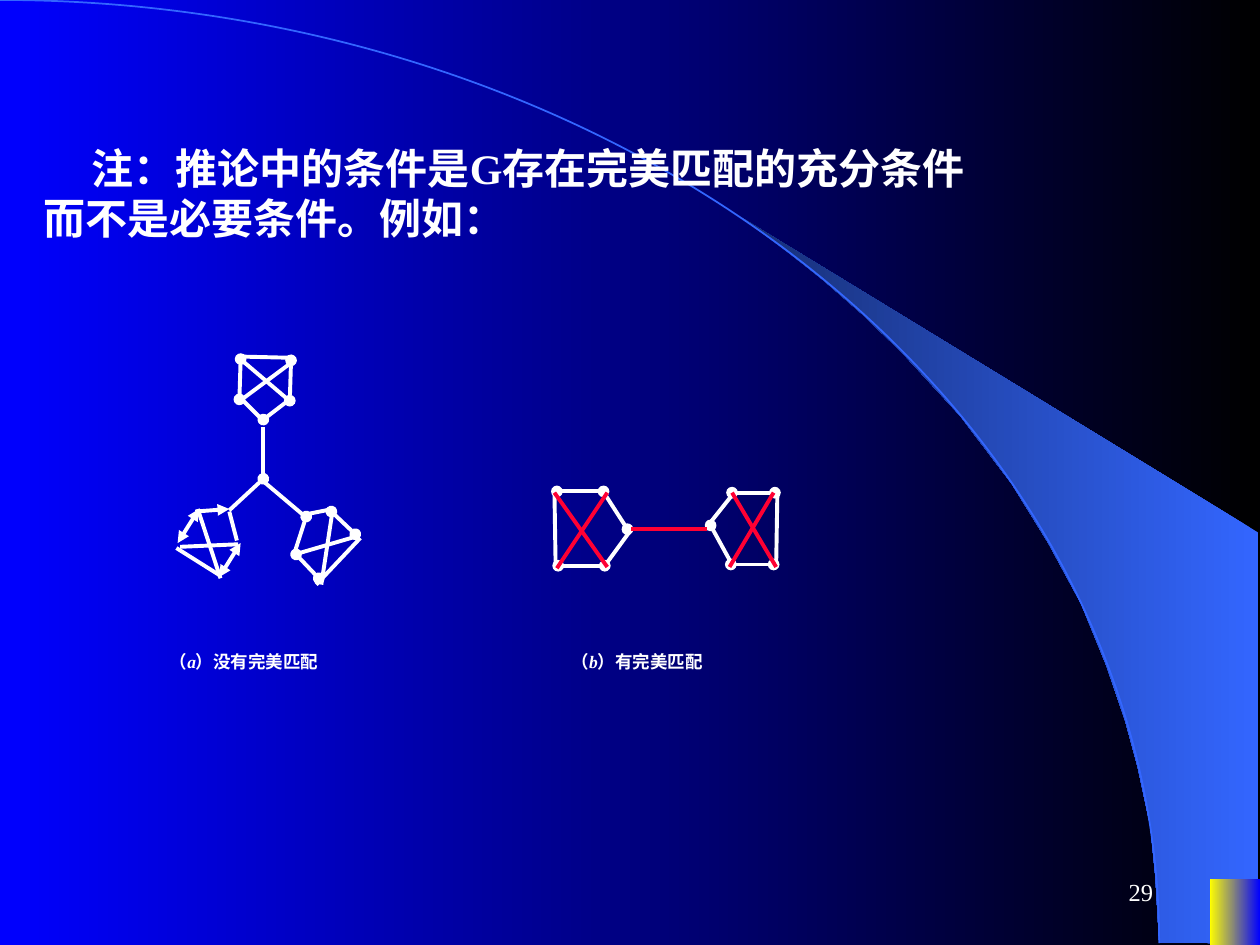
from pptx import Presentation
from pptx.dml.color import RGBColor
from pptx.enum.shapes import MSO_CONNECTOR as Link, MSO_SHAPE as Preset
from pptx.enum.text import MSO_ANCHOR as Anchor, MSO_AUTO_SIZE as AutoSize, PP_ALIGN as Align
from pptx.oxml.ns import qn
from pptx.util import Inches, Pt
from lxml.etree import SubElement

BLACK = RGBColor(0x00, 0x00, 0x00)
BLUE = RGBColor(0x00, 0x00, 0xFF)
SKY = RGBColor(0x33, 0x66, 0xFF)
NAVY = RGBColor(0x17, 0x2F, 0x75)
YELLOW = RGBColor(0xFF, 0xFF, 0x00)
WHITE = RGBColor(0xFF, 0xFF, 0xFF)
RED = RGBColor(0xFF, 0x00, 0x33)

WEDGE = [
    (9.2, 7.48), (9.99, 7.49), (9.99, 4.23), (5.89, 1.73), (6.24, 1.99), (6.53, 2.22),
    (6.85, 2.5), (7.16, 2.8), (7.62, 3.3), (8.03, 3.84), (8.32, 4.31), (8.58, 4.79),
    (8.78, 5.28), (8.93, 5.72), (9.03, 6.09), (9.13, 6.56), (9.17, 6.96),
]

ARROW_BOTH = [(1.58, 4.04, 1.41, 4.31), (1.91, 4.31, 1.74, 4.58)]
ARROW_START = [(1.82, 4.04, 1.55, 4.06)]
DOT_BOTH = [
    (2.3, 3.18, 2.31, 2.86), (1.9, 3.17, 1.91, 2.85),
    (2.35, 4.4, 2.53, 4.59), (2.63, 4.06, 2.82, 4.24),
    (4.42, 3.9, 4.79, 3.9), (4.43, 4.49, 4.8, 4.49),
    (5.8, 4.48, 6.14, 4.48), (5.81, 3.91, 6.15, 3.91),
]
DOT_START = [
    (2.09, 3.33, 2.3, 3.17), (2.43, 4.1, 2.34, 4.38), (2.09, 3.8, 1.82, 4.05),
    (4.98, 4.2, 4.78, 3.89), (5.64, 4.17, 5.81, 4.48),
]
PLAIN = [
    (1.82, 4.06, 1.88, 4.29), (1.4, 4.35, 1.75, 4.57), (2.09, 3.34, 1.92, 3.17),
    (2.32, 2.84, 1.91, 2.83), (2.39, 4.09, 2.64, 4.04), (2.51, 4.64, 2.86, 4.27),
    (2.09, 3.39, 2.09, 3.83), (2.09, 3.82, 2.41, 4.09), (4.99, 4.23, 4.8, 4.49),
    (4.4, 3.88, 4.41, 4.5), (5.62, 4.17, 5.81, 3.93), (6.16, 4.5, 6.17, 3.91),
    (1.92, 2.86, 2.32, 3.2), (1.92, 3.17, 2.31, 2.88), (1.57, 4.04, 1.75, 4.59),
    (1.43, 4.34, 1.89, 4.32), (2.64, 4.05, 2.55, 4.64), (2.34, 4.4, 2.82, 4.26),
]
MATCHING = [
    (5.01, 4.2, 5.61, 4.2), (4.4, 3.91, 4.82, 4.5), (4.42, 4.51, 4.82, 3.91),
    (5.81, 3.91, 6.16, 4.5), (5.79, 4.5, 6.14, 3.91),
]


class GraphSlide:
    """Holds the slide and its style, and draws each kind of element."""

    def __init__(self, slide, font="Times New Roman", ink=WHITE, edge_width=2.25):
        self.slide = slide
        self.shapes = slide.shapes
        self.font = font
        self.ink = ink
        self.edge_width = edge_width

    def gradient(self, fill, right, left):
        fill.gradient()
        fill.gradient_angle = 180
        for stop, color in zip(fill.gradient_stops, (right, left)):
            stop.color.rgb = color

    def backdrop(self, right, left):
        self.gradient(self.slide.background.fill, right, left)

    def panel(self, shape, right, left):
        shape.shadow.inherit = False
        self.gradient(shape.fill, right, left)
        shape.line.fill.background()

    def block(self, box, right, left):
        self.panel(self.shapes.add_shape(Preset.RECTANGLE, *map(Inches, box)), right, left)

    def polygon(self, points, right, left):
        corners = [(Inches(x), Inches(y)) for x, y in points]
        builder = self.shapes.build_freeform(*corners[0])
        builder.add_line_segments(corners[1:], close=True)
        self.panel(builder.convert_to_shape(), right, left)

    def arc(self, box, color):
        curve = self.shapes.add_shape(Preset.ARC, *map(Inches, box))
        curve.shadow.inherit = False
        curve.fill.background()
        curve.line.color.rgb = color
        curve.line.width = Pt(1)

    def edges(self, ends, color=None, head=None, tail=None):
        for end in ends:
            edge = self.shapes.add_connector(Link.STRAIGHT, *map(Inches, end))
            edge.line.color.rgb = color or self.ink
            edge.line.width = Pt(self.edge_width)
            properties = edge.element.spPr
            outline = properties.find(qn("a:ln"))
            for tag, marker in (("a:headEnd", head), ("a:tailEnd", tail)):
                if marker:
                    SubElement(outline, qn(tag), type=marker)
            SubElement(properties, qn("a:effectLst"))

    def text(self, box, runs, size, bold=True, align=Align.LEFT, anchor=Anchor.TOP,
             indent=0, grow=False):
        frame = self.shapes.add_textbox(*map(Inches, box)).text_frame
        frame.word_wrap = True
        frame.auto_size = AutoSize.SHAPE_TO_FIT_TEXT if grow else AutoSize.NONE
        frame.vertical_anchor = anchor
        paragraph = frame.paragraphs[0]
        paragraph.alignment = align
        if indent:
            paragraph._p.get_or_add_pPr().set("indent", str(Inches(indent)))
        for words, italic in runs:
            run = paragraph.add_run()
            run.text = words
            run.font.name = self.font
            run.font.size = Pt(size)
            run.font.bold = bold
            run.font.italic = italic
            run.font.color.rgb = self.ink

    def caption(self, box, letter, words):
        runs = [("（", False), (letter, True), ("）" + words, False)]
        self.text(box, runs, 10, align=Align.JUSTIFY)


def main():
    deck = Presentation()
    deck.slide_width, deck.slide_height = Inches(10), Inches(7.5)
    page = GraphSlide(deck.slides.add_slide(deck.slide_layouts[6]))

    page.backdrop(BLACK, BLUE)
    page.polygon(WEDGE, SKY, NAVY)
    page.arc((-9.2, 0, 18.4, 14.97), SKY)
    page.block((9.6, 6.98, 0.4, 0.52), BLUE, YELLOW)

    note = "注：推论中的条件是G存在完美匹配的充分条件而不是必要条件。例如："
    page.text((0.25, 1.08, 7.75, 0.9), [(note, False)], 24, indent=0.38, grow=True)

    page.edges(ARROW_BOTH, head="triangle", tail="triangle")
    page.edges(ARROW_START, head="triangle")
    page.edges(DOT_BOTH, head="oval", tail="oval")
    page.edges(DOT_START, head="oval")
    page.edges(PLAIN)
    page.edges(MATCHING, RED)

    page.caption((1.25, 5.12, 1.74, 0.55), "a", "没有完美匹配")
    page.caption((4.44, 5.12, 1.66, 0.63), "b", "有完美匹配")
    page.text((7.17, 6.83, 2.08, 0.5), [("29", False)], 14, bold=False,
              align=Align.RIGHT, anchor=Anchor.MIDDLE)
    deck.save("out.pptx")


if __name__ == "__main__":
    main()
